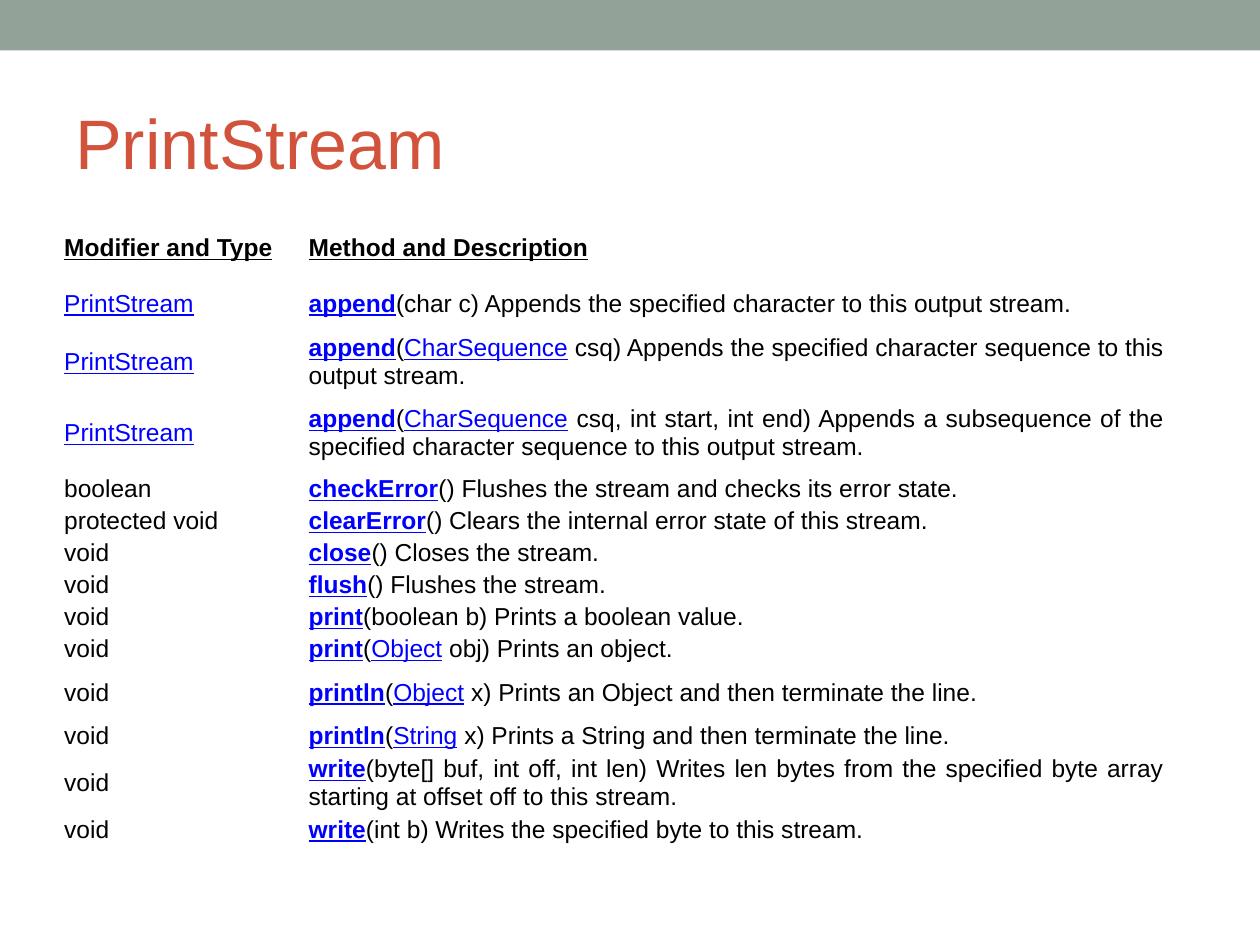
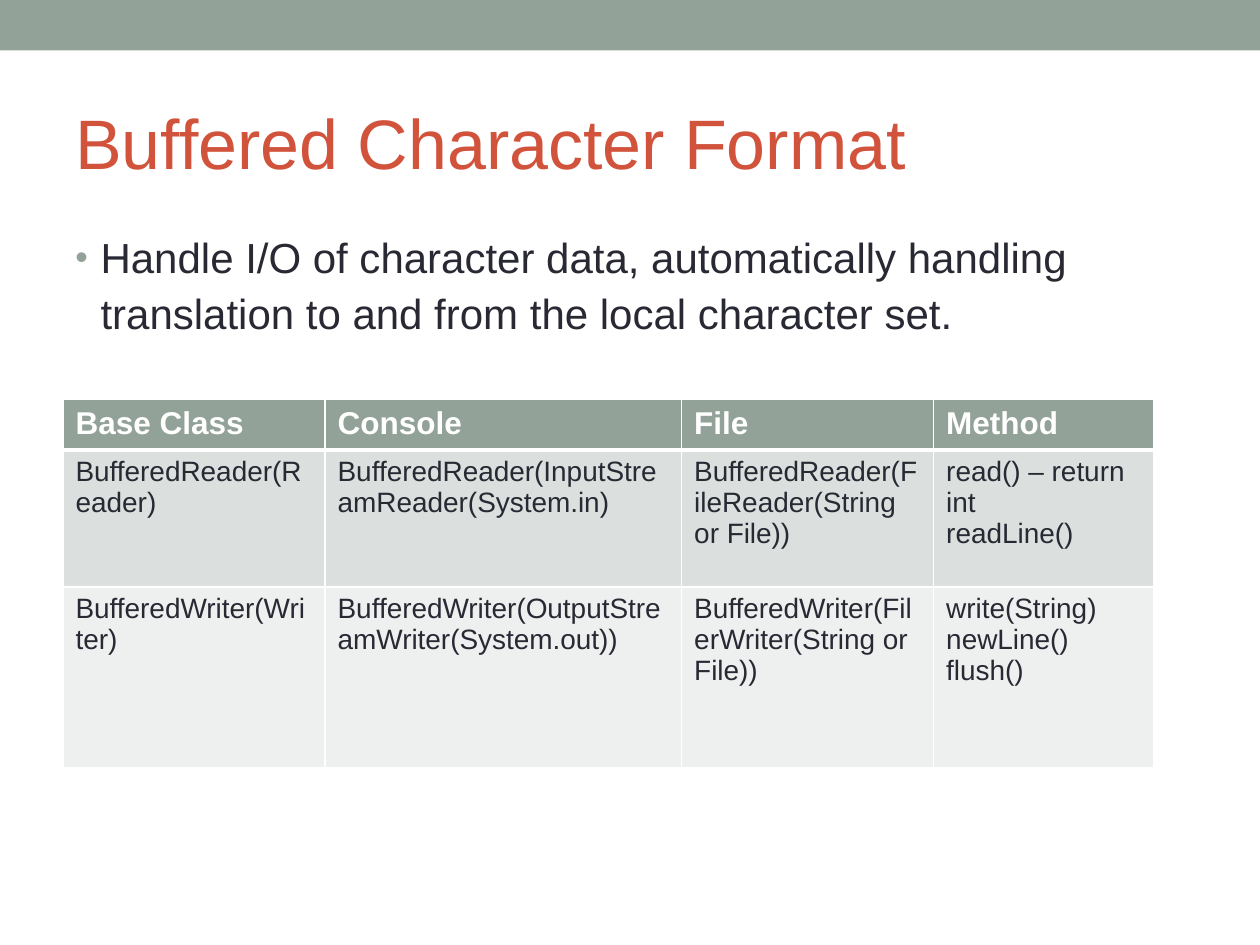
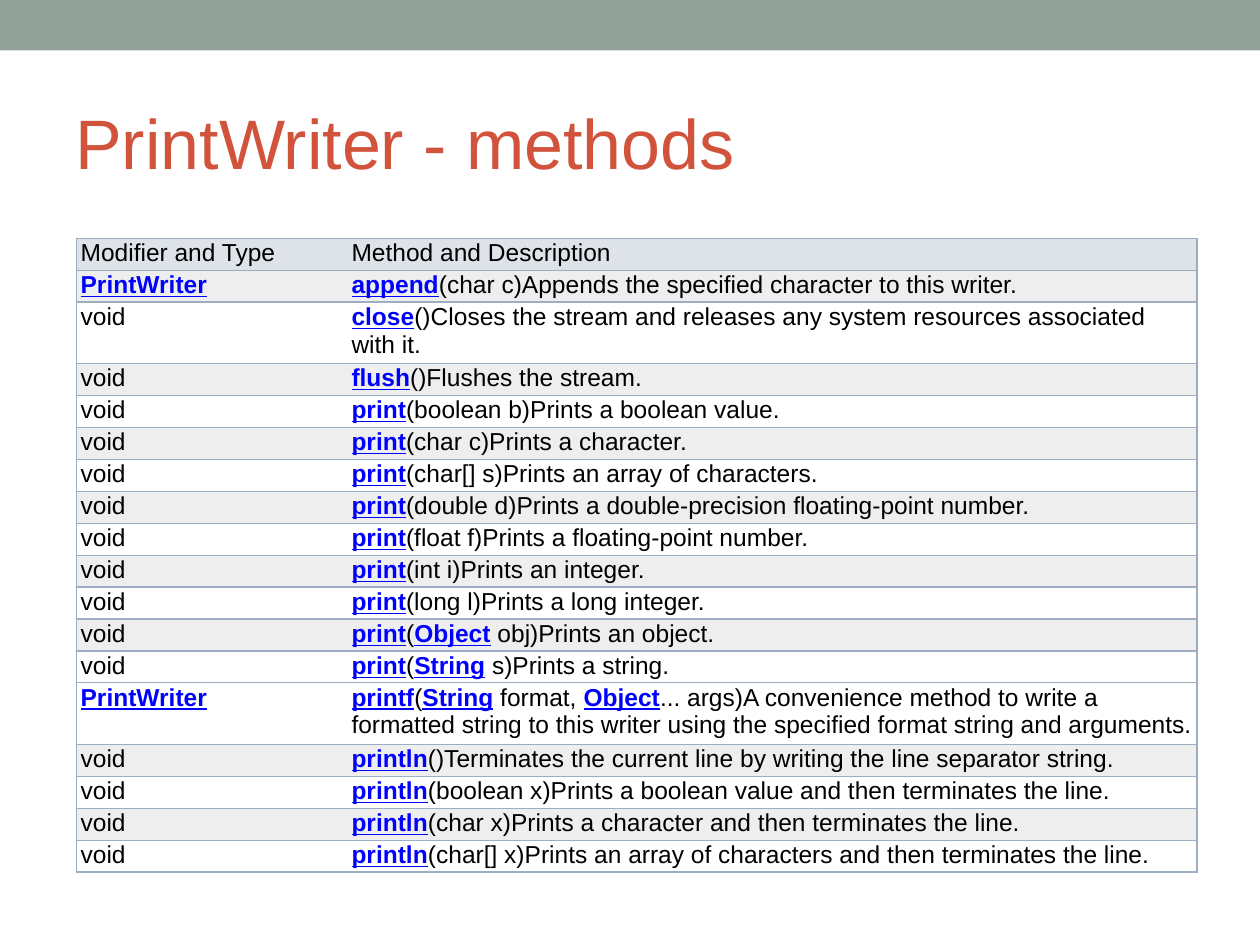
import pptx
import pptx.dml.color
import pptx.enum.shapes
import pptx.enum.text
import pptx.oxml.ns
import pptx.util
from lxml import etree

Inches = pptx.util.Inches
Pt = pptx.util.Pt
RGBColor = pptx.dml.color.RGBColor
Align = pptx.enum.text.PP_ALIGN
Anchor = pptx.enum.text.MSO_ANCHOR
qn = pptx.oxml.ns.qn

SAGE = RGBColor(0x93, 0xA2, 0x99)
RUST = RGBColor(0xD2, 0x53, 0x3C)
INK = RGBColor(0x29, 0x29, 0x34)
BLACK = RGBColor(0, 0, 0)
WHITE = RGBColor(0xFF, 0xFF, 0xFF)
LINK = RGBColor(0, 0, 0xFF)
ROW_DARK = RGBColor(0xDB, 0xDF, 0xDD)
ROW_LIGHT = RGBColor(0xEE, 0xF0, 0xEF)
HEAD_BLUE = RGBColor(0xDE, 0xE3, 0xE9)
ROW_GREY = RGBColor(0xEE, 0xEE, 0xEF)
RULE = RGBColor(0x9E, 0xAD, 0xC0)

STREAM_ROWS = [
    ("Modifier and Type", "Method and Description", 0.44),
    ("|PrintStream|", "|*append|(char c) Appends the specified character to this output stream.", 0.44),
    ("|PrintStream|", "|*append|(|CharSequence| csq) Appends the specified character sequence to this output stream.", 0.44),
    ("|PrintStream|", "|*append|(|CharSequence| csq, int start, int end) Appends a subsequence of the specified character sequence to this output stream.", 0.64),
    ("boolean", "|*checkError|() Flushes the stream and checks its error state.", 0.23),
    ("protected void", "|*clearError|() Clears the internal error state of this stream.", 0.23),
    ("void", "|*close|() Closes the stream.", 0.23),
    ("void", "|*flush|() Flushes the stream.", 0.23),
    ("void", "|*print|(boolean b) Prints a boolean value.", 0.23),
    ("void", "|*print|(|Object| obj) Prints an object.", 0.23),
    ("void", "|*println|(|Object| x) Prints an Object and then terminate the line.", 0.44),
    ("void", "|*println|(|String| x) Prints a String and then terminate the line.", 0.23),
    ("void", "|*write|(byte[] buf, int off, int len) Writes len bytes from the specified byte array starting at offset off to this stream.", 0.44),
    ("void", "|*write|(int b) Writes the specified byte to this stream.", 0.23),
]

BUFFERED_ROWS = [
    ("Base Class", "Console", "File", "Method"),
    ("BufferedReader(Reader)", "BufferedReader(InputStreamReader(System.in)",
     "BufferedReader(FileReader(String or File))", "read() – return int\nreadLine()"),
    ("BufferedWriter(Writer)", "BufferedWriter(OutputStreamWriter(System.out))",
     "BufferedWriter(FilerWriter(String or File))", "write(String)\nnewLine()\nflush()"),
]

WRITER_ROWS = [
    ("Modifier and Type", "Method and Description"),
    ("|*PrintWriter|", "|*append|(char c)Appends the specified character to this writer."),
    ("void", "|*close|()Closes the stream and releases any system resources associated with it."),
    ("void", "|*flush|()Flushes the stream."),
    ("void", "|*print|(boolean b)Prints a boolean value."),
    ("void", "|*print|(char c)Prints a character."),
    ("void", "|*print|(char[] s)Prints an array of characters."),
    ("void", "|*print|(double d)Prints a double-precision floating-point number."),
    ("void", "|*print|(float f)Prints a floating-point number."),
    ("void", "|*print|(int i)Prints an integer."),
    ("void", "|*print|(long l)Prints a long integer."),
    ("void", "|*print|(|*Object| obj)Prints an object."),
    ("void", "|*print|(|*String| s)Prints a string."),
    ("|*PrintWriter|", "|*printf|(|*String| format, |*Object|... args)A convenience method to write a formatted string to this writer using the specified format string and arguments."),
    ("void", "|*println|()Terminates the current line by writing the line separator string."),
    ("void", "|*println|(boolean x)Prints a boolean value and then terminates the line."),
    ("void", "|*println|(char x)Prints a character and then terminates the line."),
    ("void", "|*println|(char[] x)Prints an array of characters and then terminates the line."),
]


class Deck:
    font = "Arial"

    def __init__(self):
        self.prs = pptx.Presentation()
        self.prs.slide_width = Inches(10)
        self.prs.slide_height = Inches(7.5)
        self.s = None

    def slide(self, title):
        self.s = self.prs.slides.add_slide(self.prs.slide_layouts[6])
        band = self.s.shapes.add_shape(
            pptx.enum.shapes.MSO_SHAPE.RECTANGLE, 0, 0, self.prs.slide_width, Inches(0.4))
        band.shadow.inherit = False
        band.fill.solid()
        band.fill.fore_color.rgb = SAGE
        band.line.fill.background()
        tf = self.box(0.5, 0.58, 9, 1.08)
        tf.vertical_anchor = Anchor.MIDDLE
        self.runs(tf.paragraphs[0], title, 40, RUST)

    def box(self, left, top, width, height):
        sp = self.s.shapes.add_textbox(Inches(left), Inches(top), Inches(width), Inches(height))
        sp.text_frame.word_wrap = True
        return sp.text_frame

    def runs(self, p, text, size, color, bold=False, underline=False):
        for i, part in enumerate(text.split("|")):
            if not part:
                continue
            link = i % 2 == 1
            r = p.add_run()
            r.text = part.removeprefix("*")
            style = {"name": self.font, "size": Pt(size),
                     "bold": bold or part.startswith("*"), "underline": underline or link}
            for key, value in style.items():
                setattr(r.font, key, value)
            r.font.color.rgb = LINK if link else color

    def bullet(self, text):
        p = self.box(0.5, 1.75, 9, 1.2).paragraphs[0]
        p.line_spacing = 1.1
        pPr = p._p.get_or_add_pPr()
        pPr.set("marL", str(Inches(0.2)))
        pPr.set("indent", str(-Inches(0.2)))
        color = etree.SubElement(pPr, qn("a:buClr"))
        etree.SubElement(color, qn("a:srgbClr"), val=str(SAGE))
        etree.SubElement(pPr, qn("a:buSzPct"), val="85000")
        etree.SubElement(pPr, qn("a:buFont"), typeface=self.font)
        etree.SubElement(pPr, qn("a:buChar"), char="•")
        self.runs(p, text, 24, INK)

    def table(self, left, top, widths, heights):
        table = self.s.shapes.add_table(
            len(heights), len(widths), Inches(left), Inches(top),
            Inches(sum(widths)), Inches(sum(heights))).table
        table.first_row = table.horz_banding = False
        for column, width in zip(table.columns, widths):
            column.width = Inches(width)
        for row, height in zip(table.rows, heights):
            row.height = Inches(height)
        return table

    def cell(self, cell, text, size, color, margins, fill=None, borders=None,
             align=Align.LEFT, anchor=Anchor.TOP, **style):
        sides = ("margin_left", "margin_top", "margin_right", "margin_bottom")
        for side, margin in zip(sides, margins):
            setattr(cell, side, Inches(margin))
        cell.vertical_anchor = anchor
        tf = cell.text_frame
        for i, line in enumerate(text.split("\n")):
            p = tf.add_paragraph() if i else tf.paragraphs[0]
            p.alignment = align
            self.runs(p, line, size, color, **style)
        self.borders(cell, borders or {})
        if fill is None:
            cell.fill.background()
        else:
            cell.fill.solid()
            cell.fill.fore_color.rgb = fill

    def borders(self, cell, borders):
        tcPr = cell._tc.get_or_add_tcPr()
        for side in "LRTB":
            width, color = borders.get(side, (0, None))
            ln = etree.SubElement(tcPr, qn("a:ln" + side), w=str(Pt(width)))
            if color is None:
                etree.SubElement(ln, qn("a:noFill"))
            else:
                solid = etree.SubElement(ln, qn("a:solidFill"))
                etree.SubElement(solid, qn("a:srgbClr"), val=str(color))


def print_stream(deck):
    deck.slide("PrintStream")
    table = deck.table(0.5, 1.75, [1.94, 6.81], [row[2] for row in STREAM_ROWS])
    for i, row in enumerate(STREAM_ROWS):
        for j, text in enumerate(row[:2]):
            deck.cell(table.cell(i, j), text, 14, BLACK, [0.01] * 4, align=Align.JUSTIFY,
                      anchor=Anchor.MIDDLE, bold=i == 0, underline=i == 0)


def buffered_format(deck):
    deck.slide("Buffered Character Format")
    deck.bullet("Handle I/O of character data, automatically handling "
                "translation to and from the local character set.")
    table = deck.table(0.5, 3.17, [2.08, 2.83, 2, 1.75], [0.36, 1.09, 1.43])
    fills = [SAGE, ROW_DARK, ROW_LIGHT]
    for i, row in enumerate(BUFFERED_ROWS):
        head = i == 0
        borders = {side: (1, WHITE) for side in "LRTB"}
        if head:
            borders["B"] = (3, WHITE)
        elif i == 1:
            borders["T"] = (3, WHITE)
        for j, text in enumerate(row):
            deck.cell(table.cell(i, j), text, 18 if head else 16, WHITE if head else INK,
                      [0.1, 0.05, 0.1, 0.05], fills[i], borders, bold=head)


def print_writer(deck):
    deck.slide("PrintWriter - methods")
    printf_row = 13
    heights = [0.46 if i in (2, printf_row) else 0.24 for i in range(len(WRITER_ROWS))]
    table = deck.table(0.61, 1.89, [2.15, 6.74], heights)
    for i, row in enumerate(WRITER_ROWS):
        grey = (i % 2 == 1) == (i < printf_row)
        fill = HEAD_BLUE if i == 0 else ROW_GREY if grey else WHITE
        for j, text in enumerate(row):
            borders = {side: (0.75, RULE) for side in ("LTB", "RTB")[j]}
            deck.cell(table.cell(i, j), text, 14, BLACK, [0.03, 0.01, 0.01, 0.01], fill, borders)


def main():
    deck = Deck()
    print_stream(deck)
    buffered_format(deck)
    print_writer(deck)
    deck.prs.save("out.pptx")


if __name__ == "__main__":
    main()
